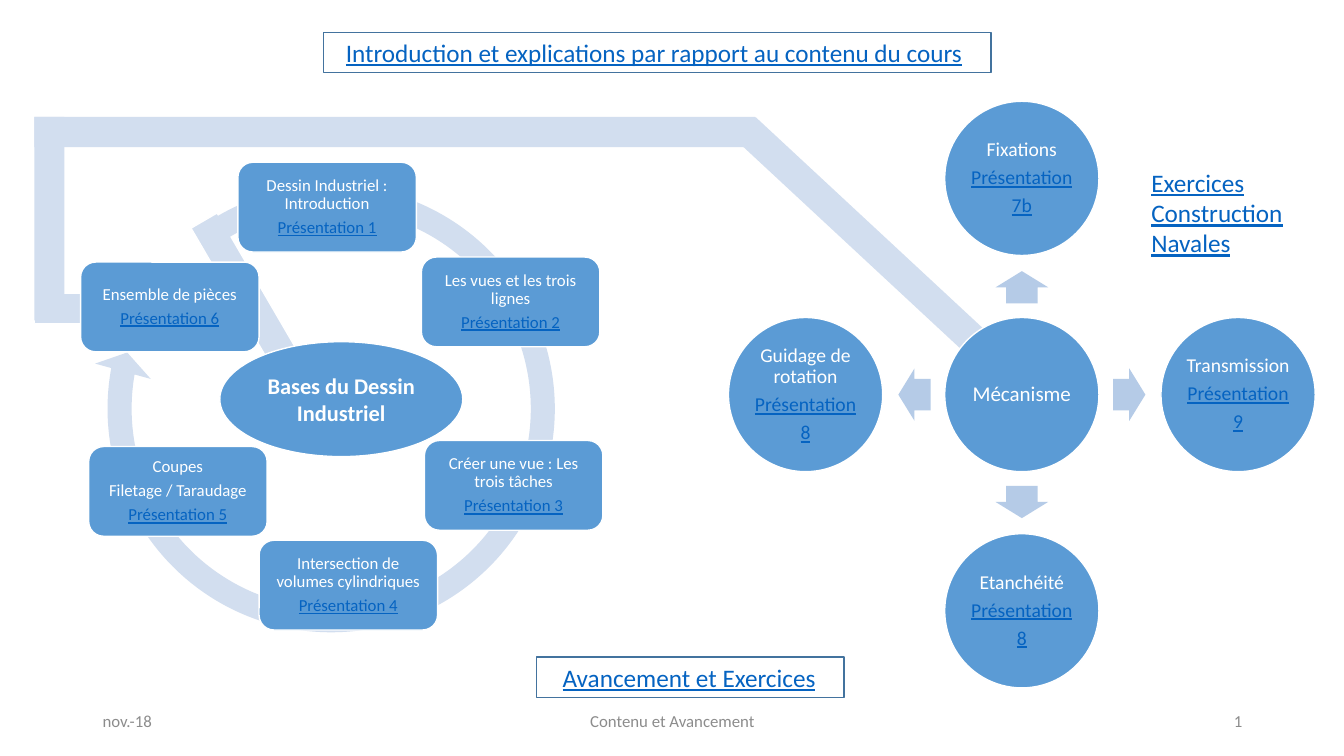
from pptx import Presentation
from pptx import util as u
from pptx.dml.color import RGBColor
from pptx.enum import shapes, text

COLORS = {
    "main": "5B9BD5", "band": "D2DEEF", "arrow": "B5CBE7", "white": "FFFFFF",
    "link": "0563C1", "frame": "43739E", "footer": "8C8C8C",
}
FONT = "Calibri"
CELL = u.Inches(0.1)  # square grid: 133.3 columns by 75 rows
KIND = shapes.MSO_SHAPE
ALIGN = text.PP_ALIGN
ANCHOR = text.MSO_ANCHOR

CARD_SIZE = (17.7, 8.9)
CARDS = [  # column, row, lines; the last line is the link
    (23.6, 16.1, ["Dessin Industriel : Introduction", "Présentation 1"]),
    (41.8, 25.5, ["Les vues et les trois lignes", "Présentation 2"]),
    (42.1, 43.7, ["Créer une vue : Les trois tâches", "Présentation 3"]),
    (25.7, 53.6, ["Intersection de volumes cylindriques", "Présentation 4"]),
    (8.8, 44.3, ["Coupes", "Filetage / Taraudage", "Présentation 5"]),
    (8, 26, ["Ensemble de pièces", "Présentation 6"]),
]

HUB = (101.35, 39.15)  # centre of the wheel
HUB_STEP, ARROW_STEP, DISC = 21.45, 10.65, 15.3
SPOKES = [  # direction across, direction down, arrow angle, topic, number
    (0, -1, 270, "Fixations", "7b"),
    (1, 0, 0, "Transmission", "9"),
    (0, 1, 90, "Etanchéité", "8"),
    (-1, 0, 180, "Guidage de rotation", "8"),
]

BANDS = [  # column, row, columns, rows, angle, outline
    (69.3, 23, 34.6, 3, 42.9, None),
    (3.4, 29.1, 9.7, 3, 0, "white"),
    (13.9, 31.4, 25.5, 3, 59.8, "white"),
    (3.4, 11.6, 3, 20.2, 0, None),
    (3.4, 11.6, 71.5, 3, 0, None),
]


def color(name):
    return RGBColor.from_string(COLORS[name])


def grid(*cells):
    return [round(cell * CELL) for cell in cells]


def outline(shape, name):
    if name:
        shape.line.color.rgb = color(name)
        shape.line.width = u.Pt(1)
    else:
        shape.line.fill.background()


def add_block(page, kind, area, fill, line=None, angle=0):
    block = page.shapes.add_shape(kind, *grid(*area))
    block.shadow.inherit = False
    block.rotation = angle
    block.fill.solid()
    block.fill.fore_color.rgb = color(fill)
    outline(block, line)
    return block


def write(shape, lines, size, names, align=ALIGN.CENTER, inset=None,
          anchor=ANCHOR.MIDDLE, tight=False, bold=False):
    """Fill a shape with one paragraph per line, coloured by names."""
    frame = shape.text_frame
    frame.word_wrap = True
    frame.auto_size = text.MSO_AUTO_SIZE.NONE
    frame.vertical_anchor = anchor
    if inset is not None:
        frame.margin_left = frame.margin_right = u.Inches(inset)
        frame.margin_top = frame.margin_bottom = u.Inches(inset)
    frame.text = "\n".join(lines)
    for para, name in zip(frame.paragraphs, names):
        para.alignment = align
        para.font.name = FONT
        para.font.size = u.Pt(size)
        para.font.bold = bold
        para.font.color.rgb = color(name)
        para.font.underline = name == "link"
        if tight:
            para.line_spacing = 0.9
            para.space_after = u.Pt(size * 0.35)


def add_note(page, area, line, size, name, align=ALIGN.LEFT,
             anchor=ANCHOR.MIDDLE):
    box = page.shapes.add_textbox(*grid(*area))
    write(box, [line], size, [name], align, anchor=anchor)
    return box


def add_card(page, column, row, lines):
    card = add_block(page, KIND.ROUNDED_RECTANGLE, (column, row, *CARD_SIZE),
                     "main", "white")
    names = ["white"] * (len(lines) - 1) + ["link"]
    write(card, lines, 12, names, inset=0.05, tight=True)


def add_disc(page, across, down, lines, size, names):
    left = HUB[0] + across * HUB_STEP - DISC / 2
    top = HUB[1] + down * HUB_STEP - DISC / 2
    disc = add_block(page, KIND.OVAL, (left, top, DISC, DISC), "main", "white")
    write(disc, lines, size, names, inset=0.02, tight=True)


def add_spoke(page, across, down, angle, topic, number):
    left = HUB[0] + across * ARROW_STEP - 1.6
    top = HUB[1] + down * ARROW_STEP - 2.6
    arrow = add_block(page, KIND.RIGHT_ARROW, (left, top, 3.2, 5.2), "arrow",
                      angle=angle)
    arrow.adjustments[0] = 0.6
    arrow.adjustments[1] = 0.5
    add_disc(page, across, down, [topic, "Présentation", number], 14,
             ["white", "link", "link"])


def add_cycle(page):
    ring = add_block(page, KIND.CIRCULAR_ARROW, (9, 16.7, 47.7, 47.7), "band",
                     angle=312.4)
    for index, value in enumerate((0.05, 3.13, 142.68, 171.04, 0.06)):
        ring.adjustments[index] = value
    for card in CARDS:
        add_card(page, *card)
    core = add_block(page, KIND.OVAL, (21.8, 33.9, 24.1, 11.4), "main", "white")
    write(core, ["Bases du Dessin Industriel"], 16, ["white"], bold=True)


def add_title(page):
    title = page.shapes.title
    title.left, title.top, title.width, title.height = grid(32.1, 3.2, 66.2, 4)
    write(title, ["Introduction et explications par rapport au contenu du cours"],
          18, ["link"], ALIGN.LEFT, anchor=ANCHOR.TOP)
    title.text_frame.margin_left = u.Inches(0.22)
    outline(title, "frame")


def main():
    deck = Presentation()
    deck.slide_width, deck.slide_height = grid(133.3, 75)
    page = deck.slides.add_slide(deck.slide_layouts[5])
    add_title(page)

    # Pale bands linking the two diagrams
    for *area, angle, line in BANDS:
        add_block(page, KIND.RECTANGLE, area, "band", line, angle)

    # Left: cycle of drawing lessons
    add_cycle(page)

    # Right: wheel of mechanism topics
    add_disc(page, 0, 0, ["Mécanisme"], 15, ["white"])
    for spoke in SPOKES:
        add_spoke(page, *spoke)

    # Further links
    progress = add_note(page, (53.2, 65.2, 30.5, 4), "Avancement et Exercices",
                        18, "link", anchor=ANCHOR.TOP)
    progress.text_frame.margin_left = u.Inches(0.26)
    outline(progress, "frame")
    add_note(page, (113.2, 16.1, 17.2, 10.1), "Exercices Construction Navales",
             18, "link", anchor=ANCHOR.TOP)

    # Footer
    for column, width, line, align in (
            (9.2, 30, "nov.-18", ALIGN.LEFT),
            (44.2, 45, "Contenu et Avancement", ALIGN.CENTER),
            (94.2, 30, "1", ALIGN.RIGHT)):
        add_note(page, (column, 69.5, width, 4), line, 12, "footer", align)

    deck.save("out.pptx")


if __name__ == "__main__":
    main()
